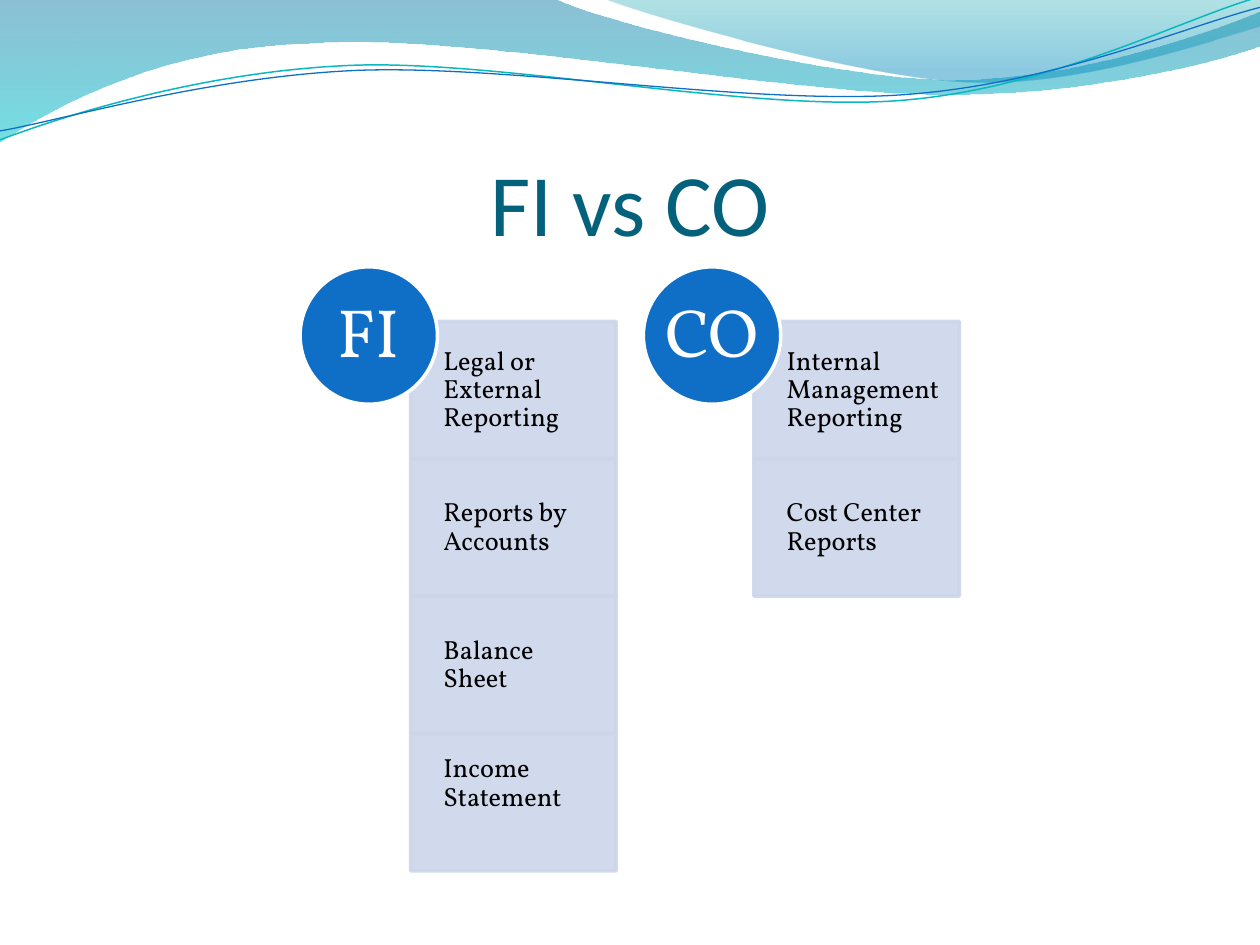
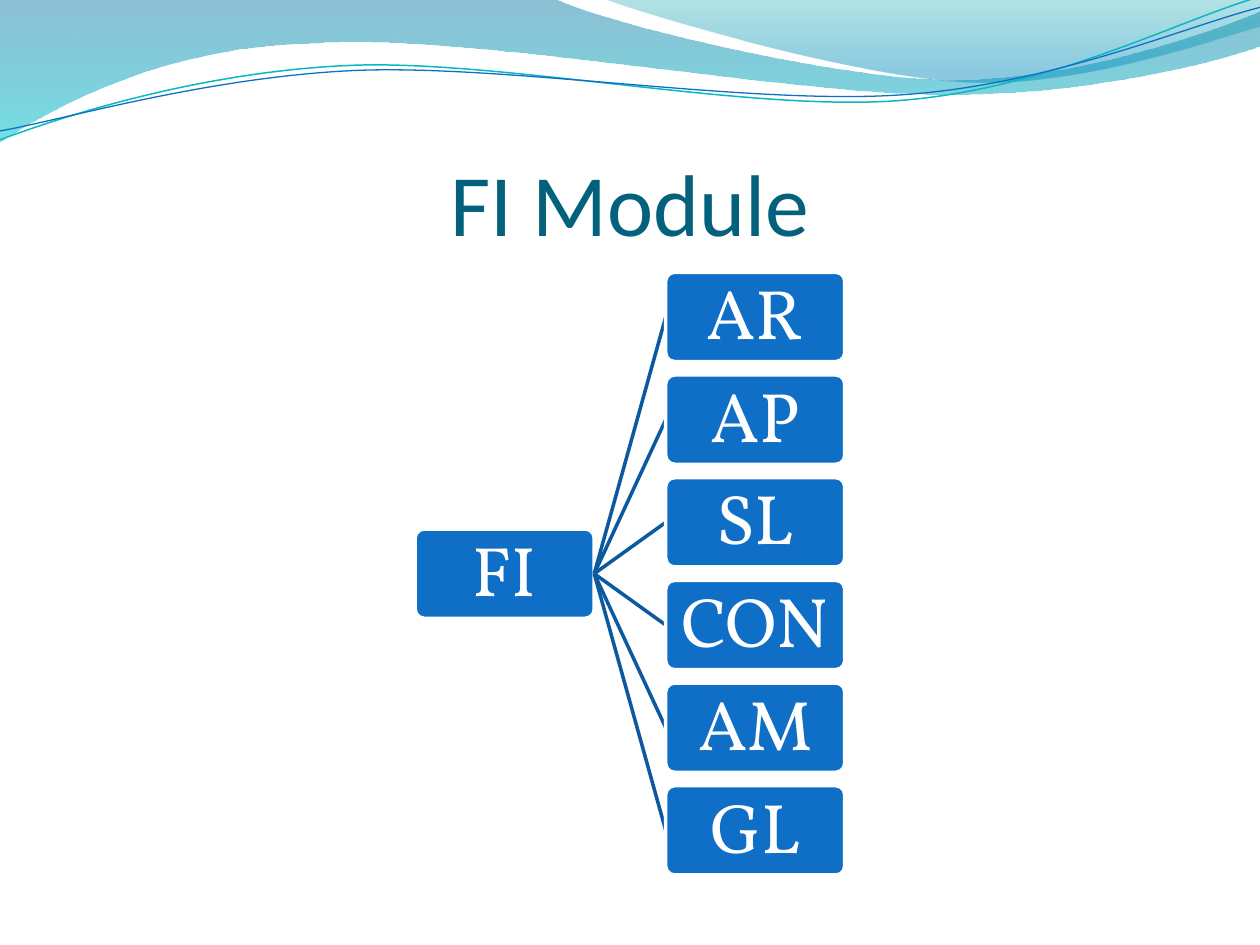
from lxml import etree
from pptx import Presentation
from pptx.dml.color import RGBColor
from pptx.enum.shapes import MSO_CONNECTOR, MSO_SHAPE
from pptx.enum.text import MSO_ANCHOR, PP_ALIGN
from pptx.oxml.ns import qn
from pptx.util import Cm, Pt

RECT, OVAL, ROUNDED = MSO_SHAPE.RECTANGLE, MSO_SHAPE.OVAL, MSO_SHAPE.ROUNDED_RECTANGLE
STRAIGHT = MSO_CONNECTOR.STRAIGHT
LEFT, CENTER = PP_ALIGN.LEFT, PP_ALIGN.CENTER
MIDDLE, BOTTOM = MSO_ANCHOR.MIDDLE, MSO_ANCHOR.BOTTOM

TITLE_FONT, BODY_FONT = "Calibri", "Vollkorn"
TITLE, BLUE, PALE, LINK = "04617B", "0F6FC6", "CCD5EA", "0C599F"
WHITE, BLACK, TEAL = "FFFFFF", "000000", "0AB8BF"

# Each wave is a start point, then curves (6 numbers) and straight lines (2 numbers), in cm.
LEFT_WAVE = [
    (0, 0), (11.18, -0.03),
    (12.09, 0.43, 16.87, 1.6, 19.25, 1.6), (21.67, 1.6, 24.33, 0.66, 25.4, 0.23),
    (25.43, 0.91),
    (24.97, 1.12, 22.1, 1.93, 18.95, 1.9), (15.8, 1.9, 9.7, 0.71, 6.53, 0.86),
    (3.28, 0.91, 1.17, 2.11, -0.03, 2.87),
]
RIGHT_WAVE = [
    (12.17, -0.03), (12.93, 0.28, 17.32, 1.57, 19.53, 1.65),
    (21.74, 1.75, 24.41, 0.81, 25.4, 0.53), (25.4, 0),
]
TEAL_WAVE = [
    (0, 2.82), (1.22, 2.36, 4.01, 1.45, 7.04, 1.32),
    (10.03, 1.19, 15.06, 2.26, 18.11, 2.03), (21.16, 1.8, 23.83, 0.38, 25.35, -0.05),
]
BLUE_WAVE = [
    (0, 2.64), (1.19, 2.44, 4.17, 1.55, 7.19, 1.42),
    (10.24, 1.3, 15.16, 2.13, 18.21, 1.91), (21.23, 1.7, 23.9, 0.53, 25.4, 0.15),
]

REPORTS = {
    "FI": ["Legal or External Reporting", "Reports by Accounts",
           "Balance Sheet", "Income Statement"],
    "CO": ["Internal Management Reporting", "Cost Center Reports"],
}
FI_PARTS = ["AR", "AP", "SL", "CON", "AM", "GL"]


def rgb(code):
    """Return the colour for a hex string."""
    return RGBColor.from_string(code)


def set_alpha(shape, *percents):
    """Give the shape's colours, in order, these opacities."""
    for clr, percent in zip(shape._element.spPr.iter(qn("a:srgbClr")), percents):
        etree.SubElement(clr, qn("a:alpha")).set("val", str(percent * 1000))


def bend(sp, segments):
    """Merge the three lines of each 6-number segment into one Bezier curve."""
    lines = iter(list(sp._element.spPr.iter(qn("a:lnTo"))))
    for segment in segments[1:]:
        first = next(lines)
        if len(segment) == 6:
            curve = etree.Element(qn("a:cubicBezTo"))
            first.addprevious(curve)
            for line in (first, next(lines), next(lines)):
                curve.append(line[0])
                line.getparent().remove(line)


def add_wave(s, segments, close):
    """Draw a curved outline and return its shape."""
    points = [(Cm(seg[i]), Cm(seg[i + 1])) for seg in segments for i in range(0, len(seg), 2)]
    builder = s.shapes.build_freeform(*points[0])
    builder.add_line_segments(points[1:], close=close)
    sp = builder.convert_to_shape()
    sp.shadow.inherit = False
    bend(sp, segments)
    return sp


def add_wave_fill(s, segments, stops):
    """Draw a translucent wave with a gradient from top to bottom."""
    sp = add_wave(s, segments, True)
    sp.line.fill.background()
    sp.fill.gradient()
    sp.fill.gradient_angle = 270
    for stop, (position, color, _) in zip(sp.fill.gradient_stops, stops):
        stop.position = position
        stop.color.rgb = rgb(color)
    set_alpha(sp, *[alpha for _, _, alpha in stops])


def add_wave_line(s, segments, color, width):
    """Draw a thin open wave."""
    sp = add_wave(s, segments, False)
    sp.fill.background()
    sp.line.color.rgb = rgb(color)
    sp.line.width = Pt(width)


def write(sp, text, size, color, font=BODY_FONT, align=CENTER, anchor=MIDDLE,
          insets=(0, 0, 0, 0), wrap=False, spacing=0.9):
    """Put one styled paragraph in a shape; insets are left, top, right, bottom in cm."""
    tf = sp.text_frame
    tf.text = text
    tf.word_wrap = wrap
    tf.vertical_anchor = anchor
    tf.margin_left, tf.margin_top, tf.margin_right, tf.margin_bottom = map(Cm, insets)
    p = tf.paragraphs[0]
    p.alignment = align
    p.line_spacing = spacing
    f = p.runs[0].font
    f.name, f.size, f.color.rgb = font, Pt(size), rgb(color)


def add_box(s, kind, x, y, w, h, fill, line):
    """Add a filled and outlined preset shape."""
    sp = s.shapes.add_shape(kind, Cm(x), Cm(y), Cm(w), Cm(h))
    sp.shadow.inherit = False
    sp.fill.solid()
    sp.fill.fore_color.rgb = rgb(fill)
    sp.line.color.rgb = rgb(line)
    sp.line.width = Pt(2)
    return sp


def add_link(s, x1, y1, x2, y2):
    """Join two points with a straight line."""
    cxn = s.shapes.add_connector(STRAIGHT, Cm(x1), Cm(y1), Cm(x2), Cm(y2))
    cxn.line.color.rgb = rgb(LINK)
    cxn.line.width = Pt(2)
    etree.SubElement(cxn._element.spPr, qn("a:effectLst"))


def add_page(prs, title):
    """Add a slide with the wave header and a title."""
    s = prs.slides.add_slide(prs.slide_layouts[6])
    add_wave_fill(s, LEFT_WAVE, [(0, "0074A1", 45), (1, "00C6CF", 55)])
    add_wave_fill(s, RIGHT_WAVE, [(0, "00A1A9", 30), (0.8, "008BBF", 45)])
    add_wave_line(s, TEAL_WAVE, TEAL, 0.85)
    add_wave_line(s, BLUE_WAVE, BLUE, 0.75)
    tb = s.shapes.add_textbox(Cm(1.27), Cm(1.94), Cm(22.86), Cm(3.18))
    write(tb, title, 50, TITLE, TITLE_FONT, anchor=BOTTOM,
          insets=(0, 0.13, 0, 0), wrap=True, spacing=1)
    return s


def add_report_column(s, x, heading, reports, size=2.77):
    """Stack report cells under a round heading."""
    for i, report in enumerate(reports):
        cell = add_box(s, RECT, x + 2.23, 6.48 + i * size, 4.14, size, PALE, PALE)
        set_alpha(cell, 90, 90)
        bottom = 1.06 if report == "Income Statement" else 0.3
        write(cell, report, 15, BLACK, align=LEFT,
              insets=(0.66, 0.3, 0.3, bottom), wrap=True)
    circle = add_box(s, OVAL, x, 5.38, size, size, BLUE, WHITE)
    write(circle, heading, 39, WHITE)


def add_node(s, x, y, w, h, text):
    """Add one rounded box of the tree."""
    node = add_box(s, ROUNDED, x, y, w, h, BLUE, WHITE)
    node.adjustments[0] = 0.1
    write(node, text, 40, WHITE)


def add_tree(s, root, parts):
    """Draw a root box linked to a column of parts on its right."""
    w, h, pitch = 3.61, 1.8, 2.07
    root_x, part_x, top = 8.37, 13.42, 5.49
    root_y = top + pitch * (len(parts) - 1) / 2
    add_node(s, root_x, root_y, w, h, root)
    for i, part in enumerate(parts):
        y = top + i * pitch
        add_link(s, root_x + w, root_y + h / 2, part_x, y + h / 2)
        add_node(s, part_x, y, w, h, part)


def main():
    """Build both slides and save them."""
    prs = Presentation()
    prs.slide_width, prs.slide_height = Cm(25.4), Cm(19.05)
    s = add_page(prs, "FI vs CO")
    for i, (heading, reports) in enumerate(REPORTS.items()):
        add_report_column(s, 6.05 + i * 6.92, heading, reports)
    s = add_page(prs, "FI Module")
    add_tree(s, "FI", FI_PARTS)
    prs.save("out.pptx")


if __name__ == "__main__":
    main()
